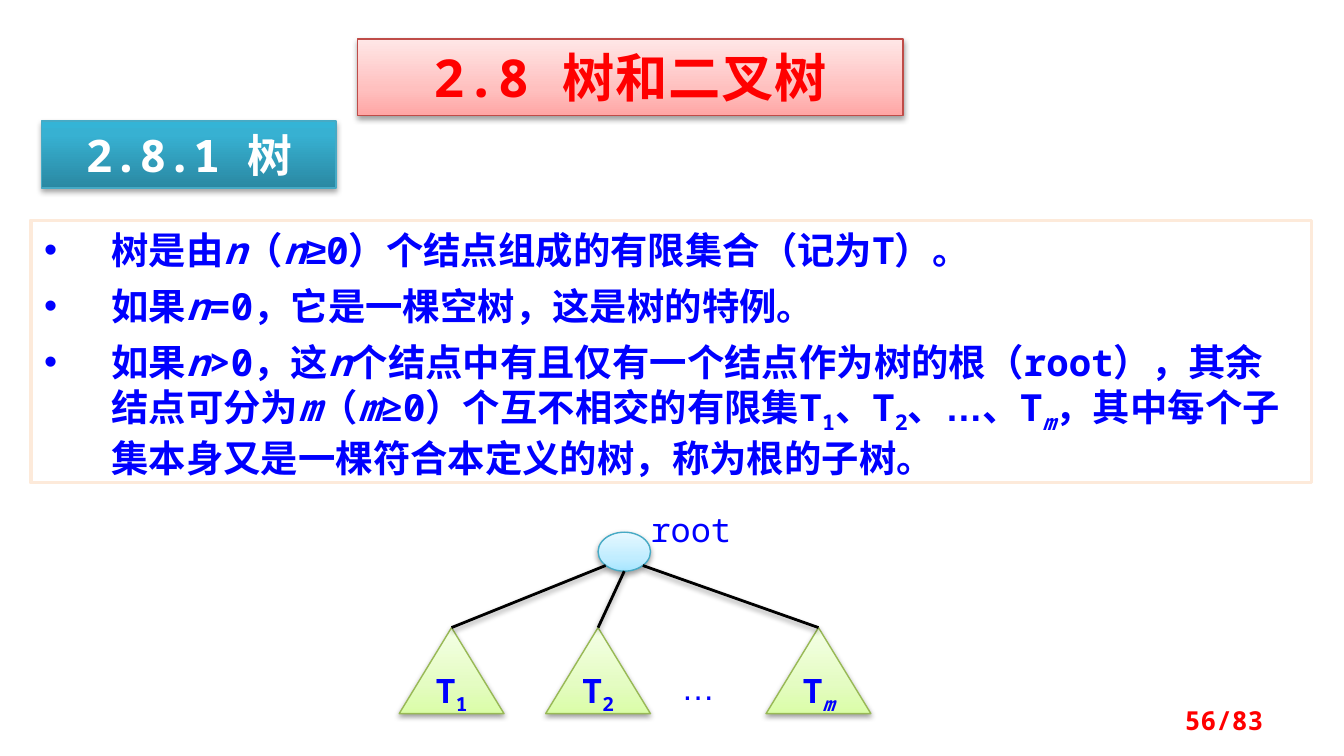
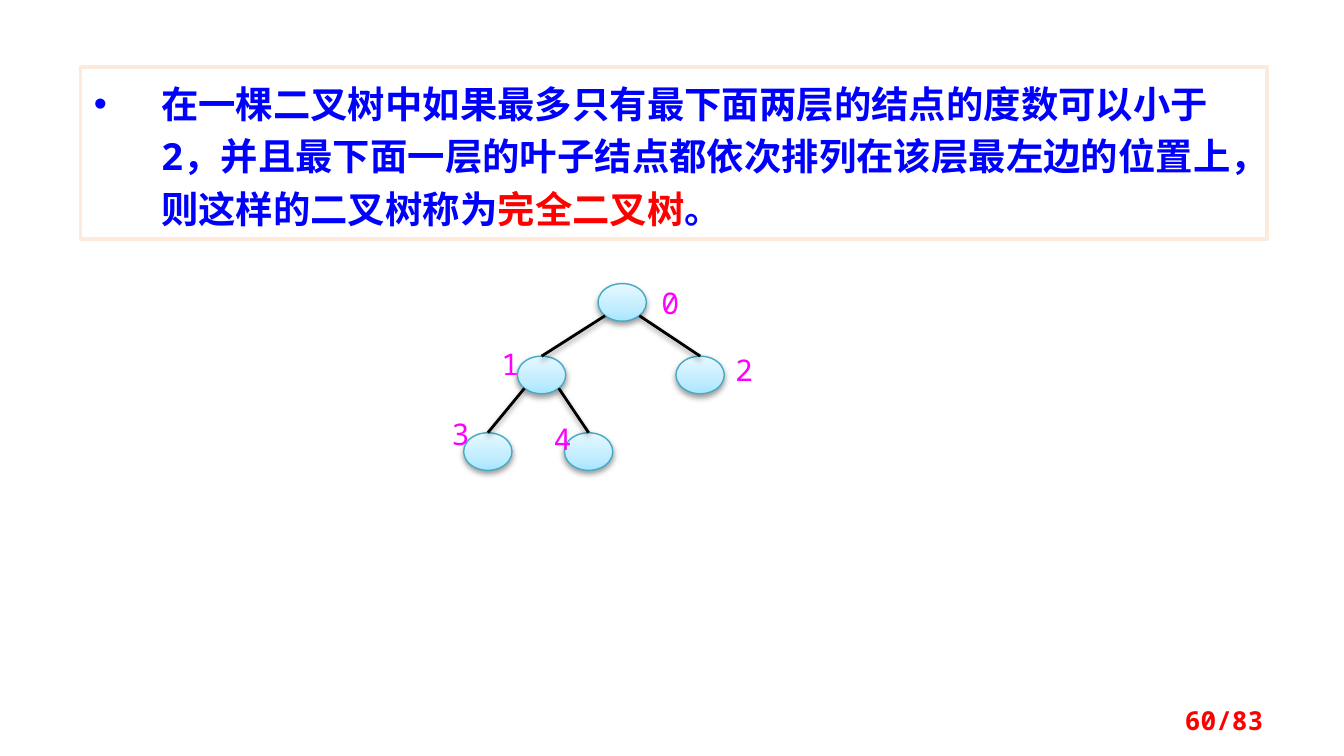
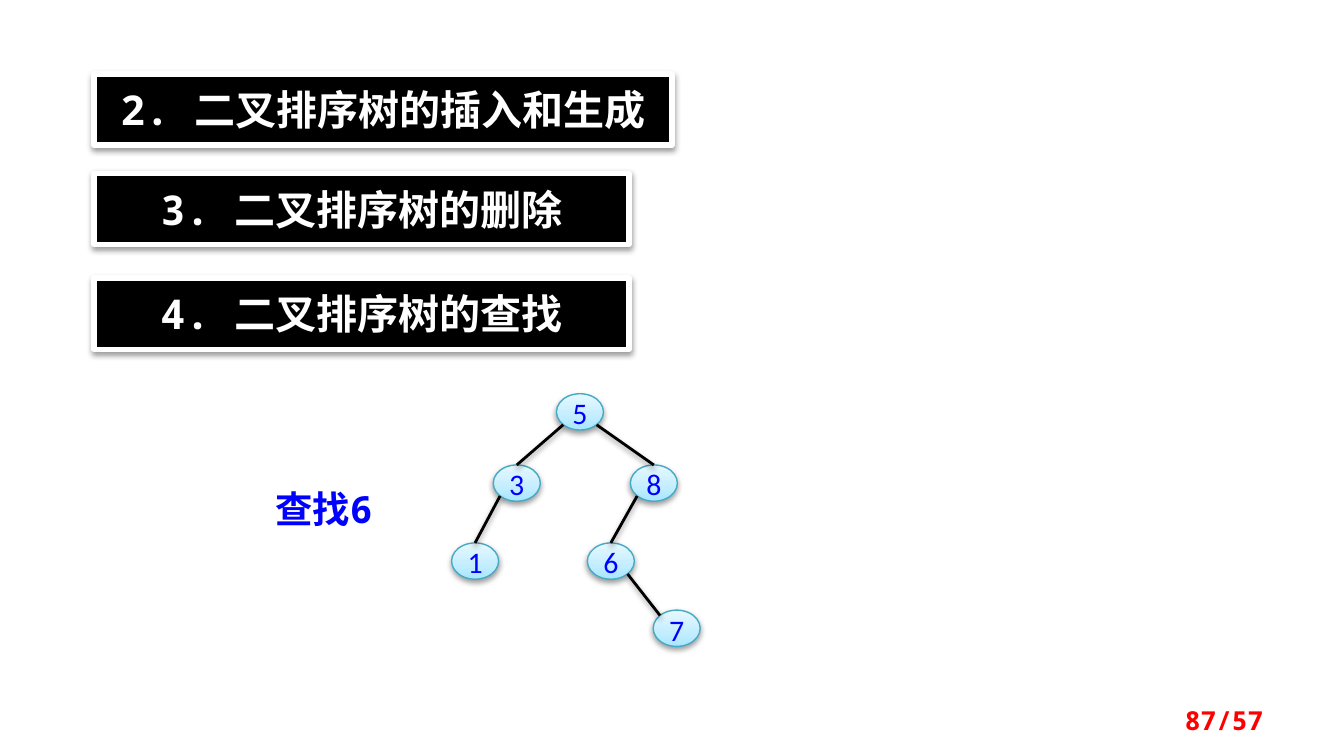
from copy import deepcopy
from dataclasses import dataclass

from lxml import etree
from pptx import Presentation, util as u
from pptx.dml.color import RGBColor
from pptx.enum import shapes, text
from pptx.oxml.ns import qn


@dataclass(frozen=True)
class Theme:
    """Colours, fonts and type sizes of the deck."""
    mono: str = "Noto Sans Mono"
    sans: str = "Arial"
    digit: str = "Calibri"
    blue: str = "0000FF"
    red: str = "FF0000"
    pink: str = "FF00FF"
    white: str = "FFFFFF"
    black: str = "000000"
    cream: str = "FDEADA"
    rose: tuple = ((0, "FFA6A5"), (.35, "FFC0BF"), (1, "FFE7E7"))
    teal: tuple = ((0, "2A88A2"), (.8, "37B1D2"), (1, "34B4D6"))
    sky: tuple = ((0, "A7E6FF"), (.35, "C1EDFF"), (1, "E7F8FF"))
    lime: tuple = ((0, "DAFDA7"), (.35, "E4FCC2"), (1, "F5FFE7"))
    brick: str = "BF4C48"
    sea: str = "46AAC5"
    leaf: str = "98B955"
    title: int = 28
    topic: int = 24
    head: int = 22
    body: int = 20
    label: int = 18
    key: int = 16
    page: int = 14


T = Theme()
COLS, ROWS = 100, 56.25
CELL = u.Inches(.1)
KIND = shapes.MSO_SHAPE
LEFT, MID, RIGHT = text.PP_ALIGN.LEFT, text.PP_ALIGN.CENTER, text.PP_ALIGN.RIGHT
TOP, CENTER = text.MSO_ANCHOR.TOP, text.MSO_ANCHOR.MIDDLE
ITAL = {"ital": True}
SUB = {"base": -25}
ARIAL = {"font": T.sans}
TILT = .71


def grid(*cells):
    """Turn grid cells into slide lengths."""
    return [round(c * CELL) for c in cells]


def add(parent, tag, **attrs):
    """Append a drawing element with attributes."""
    node = etree.SubElement(parent, qn(tag))
    for name, value in attrs.items():
        node.set(name, str(value))
    return node


def style(run, font=T.mono, size=T.body, color=T.blue, bold=False, ital=False,
          base=0, track=0):
    """Format one run."""
    f = run.font
    f.name, f.size, f.bold, f.italic = font, u.Pt(size), bold, ital
    f.color.rgb = RGBColor.from_string(color)
    props = run._r.get_or_add_rPr()
    add(props, "a:ea", typeface=font)
    if base:
        props.set("baseline", str(base * 1000))
    if track:
        props.set("spc", str(track))


def write(shape, *paras, align=LEFT, anchor=TOP, inset=(1, .5), lead=None,
          before=0, bullet=False, **look):
    """Fill a shape with paragraphs, each a string or a list of runs."""
    frame = shape.text_frame
    frame.word_wrap, frame.auto_size = True, text.MSO_AUTO_SIZE.NONE
    frame.vertical_anchor = anchor
    frame.margin_left, frame.margin_top = grid(*inset)
    frame.margin_right, frame.margin_bottom = grid(*inset)
    for n, runs in enumerate(paras):
        p = frame.add_paragraph() if n else frame.paragraphs[0]
        p.alignment, p.space_before = align, u.Pt(before)
        if lead:
            p.line_spacing = lead
        if bullet:
            props = p._p.get_or_add_pPr()
            props.set("marL", str(u.Inches(.5)))
            props.set("indent", str(-u.Inches(.5)))
            add(props, "a:buFont", typeface=T.sans)
            add(props, "a:buChar", char="•")
        for item in [runs] if isinstance(runs, str) else runs:
            words, extra = (item, {}) if isinstance(item, str) else item
            run = p.add_run()
            run.text = words
            style(run, **{**look, **extra})
    return shape


def shade(effects, alpha=38, drop=1.6):
    """Put a soft drop shadow in an effect list."""
    shadow = add(effects, "a:outerShdw", blurRad=u.Pt(3.1), dist=u.Pt(drop),
                 dir=5400000, rotWithShape=0)
    add(add(shadow, "a:srgbClr", val=T.black), "a:alpha", val=alpha * 1000)


def paint(shape, fill, edge, width=.75, shadow=True, **cast):
    """Set fill, outline and shadow; a tuple of stops makes a gradient."""
    if isinstance(fill, str):
        shape.fill.solid()
        shape.fill.fore_color.rgb = RGBColor.from_string(fill)
    else:
        shape.fill.gradient()
        shape.fill.gradient_angle = 90
        stops = shape._element.spPr.find(".//" + qn("a:gsLst"))
        stops.insert(1, deepcopy(stops[0]))
        for stop, (place, color) in zip(shape.fill.gradient_stops, fill):
            stop.position = place
            stop.color.rgb = RGBColor.from_string(color)
    shape.line.color.rgb = RGBColor.from_string(edge)
    shape.line.width = u.Pt(width)
    shape.shadow.inherit = False
    if shadow:
        shade(shape._element.spPr.find(qn("a:effectLst")), **cast)
    return shape


def block(pen, box, fill, edge, kind=KIND.RECTANGLE, **kw):
    """Draw a painted preset shape."""
    return paint(pen.add_shape(kind, *grid(*box)), fill, edge, **kw)


def title(slide, box, fill, edge, **kw):
    """Move and paint the title placeholder."""
    shape = slide.shapes.title
    shape.left, shape.top, shape.width, shape.height = grid(*box)
    return paint(shape, fill, edge, **kw)


def label(pen, box, words, **look):
    """Add a text box."""
    return write(pen.add_textbox(*grid(*box)), words, **look)


def panel(slide, box, *paras, **look):
    """Add a framed list of bullets."""
    shape = block(slide.shapes, box, T.white, T.cream, width=2, shadow=False)
    write(shape, *paras, bullet=True, bold=True, **look)


def node(pen, x, y, wide, high):
    """Draw a round tree node."""
    return block(pen, (x, y, wide, high), T.sky, T.sea, KIND.OVAL)


def spot(shape, across, down):
    """Find a point on a node's rim from its direction."""
    k = TILT if across else 1
    return (round(shape.left + shape.width * (1 + k * across) / 2),
            round(shape.top + shape.height * (1 + k * down) / 2))


def link(pen, top, kid, side, tip=0):
    """Join the lower rim of a node to the upper rim of its child."""
    line = pen.add_connector(shapes.MSO_CONNECTOR.STRAIGHT,
                             *spot(top, side, 1), *spot(kid, tip, -1))
    line.line.color.rgb = RGBColor.from_string(T.black)
    line.line.width = u.Pt(1.5)
    shade(add(line._element.spPr, "a:effectLst"))


def page(deck, number, titled=False):
    """Add a slide with its page number."""
    slide = deck.slides.add_slide(deck.slide_layouts[5 if titled else 6])
    label(slide.shapes, (71.7, 52.1, 23.3, 3), number, align=RIGHT,
          anchor=CENTER, size=T.page, color=T.red, bold=True)
    return slide


def tree(deck):
    """Build the slide that defines a tree."""
    slide = page(deck, "56/83", True)
    write(title(slide, (26.6, 2.9, 40.6, 5.7), T.rose, T.brick),
          "2.8 树和二叉树", align=MID, size=T.title, color=T.red, bold=True,
          track=50)
    topic = block(slide.shapes, (3.1, 9, 21.9, 5), T.teal, T.sea, alpha=35,
                  drop=1.8)
    write(topic, "2.8.1 树", align=MID, size=T.topic, color=T.white, bold=True)
    n, m = ("n", ITAL), ("m", ITAL)
    panel(slide, (2.3, 16.4, 95.3, 19.5),
          ["树是由", n, "（", n, ("≥", ARIAL), "0）个结点组成的有限集合（记为T）。"],
          ["如果", n, "=0，它是一棵空树，这是树的特例。"],
          ["如果", n, ">0，这", n,
           "个结点中有且仅有一个结点作为树的根（root），其余结点可分为", m, "（", m,
           "≥0）个互不相交的有限集T", ("1", SUB), "、T", ("2", SUB), "、",
           ("…", ARIAL), "、T", ("m", ITAL | SUB),
           "，其中每个子集本身又是一棵符合本定义的树，称为根的子树。"],
          before=6)
    pen = slide.shapes.add_group_shape().shapes
    root = node(pen, 44.5, 39.6, 3.9, 2.9)
    label(pen, (48.4, 37.9, 7.8, 3), "root", inset=(0, 0), size=T.label)
    kids = ((29.7, "1", SUB, -1), (40.6, "2", SUB, 0), (57, "m", ITAL | SUB, 1))
    for x, sign, look, side in kids:
        kid = block(pen, (x, 46.7, 7.8, 6.4), T.lime, T.leaf,
                    KIND.ISOSCELES_TRIANGLE)
        write(kid, ["T", (sign, look)], align=MID, anchor=CENTER,
              inset=(0, .5), lead=.8, size=T.label, bold=True)
        link(pen, root, kid, side)
    label(pen, (50, 49.6, 5.5, 3), " …", inset=(0, 0), font=T.sans, size=T.label)


def full(deck):
    """Build the slide on complete binary trees."""
    slide = page(deck, "60/83")
    panel(slide, (6, 5, 88.3, 12.8),
          ["在一棵二叉树中如果最多只有最下面两层的结点的度数可以小于2，"
           "并且最下面一层的叶子结点都依次排列在该层最左边的位置上，则这样的二叉树称为",
           ("完全二叉树", {"color": T.red}), "。"], lead=u.Pt(28))
    pen = slide.shapes.add_group_shape().shapes
    spots = ((44.5, 21.1), (38.5, 26.5), (50.3, 26.5), (34.5, 32.2), (42, 32.2))
    nodes = [node(pen, x, y, 3.6, 2.8) for x, y in spots]
    for n in range(1, len(nodes)):
        link(pen, nodes[(n - 1) // 2], nodes[n], -1 if n % 2 else 1)
    marks = ((49.2, 21.2), (37.3, 25.7), (54.7, 26.2), (33.6, 30.9), (41.2, 31.3))
    for n, (x, y) in enumerate(marks):
        label(pen, (x, y, 3.1, 2.7), str(n), inset=(0, 0), size=T.key,
              color=T.pink)


def search(deck):
    """Build the slide on search trees."""
    slide = page(deck, "87/57", True)
    heads = (("2. 二叉排序树的插入和生成", 5.5, 43), ("3. 二叉排序树的删除", 12.9, 39.8),
             ("4. 二叉排序树的查找", 20.7, 39.8))
    for n, (words, y, wide) in enumerate(heads):
        make, host = (block, slide.shapes) if n else (title, slide)
        bar = make(host, (7, y, wide, 5.3), T.black, T.white, width=3)
        write(bar, words, align=MID, inset=(1, .8), size=T.head,
              color=T.white, bold=True)
    pen = slide.shapes.add_group_shape().shapes
    spots = {5: (41.4, 29.3), 3: (36.7, 34.6), 8: (46.9, 34.6),
             1: (33.6, 40.4), 6: (43.7, 40.4), 7: (48.6, 45.4)}
    nodes = {}
    for key, (x, y) in spots.items():
        nodes[key] = write(node(pen, x, y, 3.5, 2.7), str(key), align=MID,
                           inset=(0, 0), lead=u.Pt(17), font=T.digit, size=T.key)
    for top, kid, tip in ((5, 3, 0), (5, 8, 0), (3, 1, 0), (8, 6, 0), (6, 7, -1)):
        link(pen, nodes[top], nodes[kid], 1 if kid > top else -1, tip)
    label(slide.shapes, (19.5, 35.7, 10.9, 4.4), "查找6", bold=True)


def main():
    """Build and save the deck."""
    deck = Presentation()
    deck.slide_width, deck.slide_height = grid(COLS, ROWS)
    for build in (tree, full, search):
        build(deck)
    deck.save("out.pptx")


if __name__ == "__main__":
    main()
